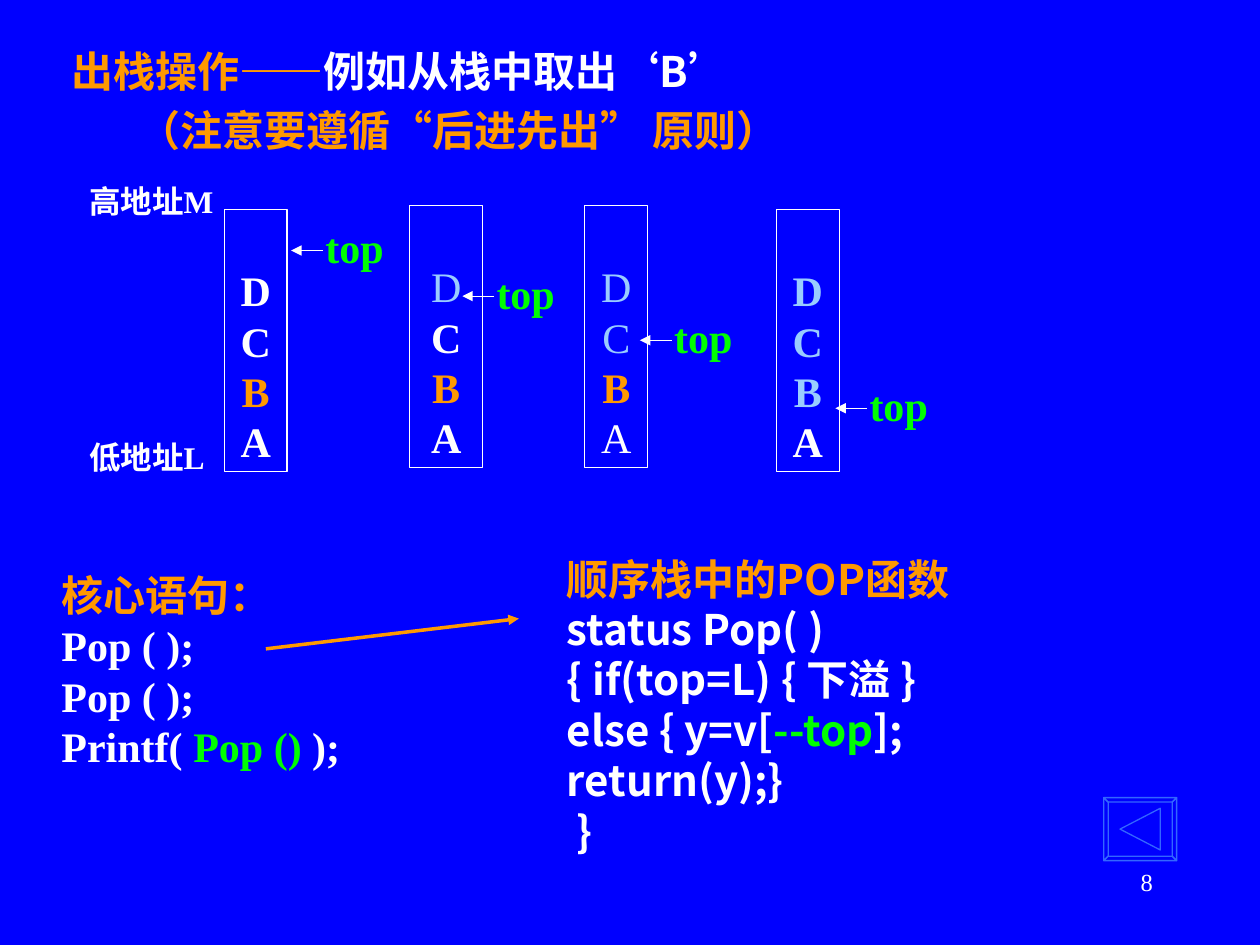
from lxml.etree import SubElement
from pptx import Presentation
from pptx.dml.color import RGBColor
from pptx.enum.shapes import MSO_CONNECTOR, MSO_SHAPE
from pptx.enum.text import MSO_ANCHOR, MSO_AUTO_SIZE, PP_ALIGN
from pptx.oxml.ns import qn
from pptx.util import Cm, Pt

WHITE, ORANGE, GREEN, PALE = "FFFFFF", "FF9900", "00FF00", "99CCFF"
SANS, SERIF = "Noto Sans CJK SC", "Times New Roman"
CODE = {"size": Pt(24), "name": SERIF, "bold": True}
HEADING = {**CODE, "name": SANS}
ADDRESS = {**CODE, "size": Pt(18)}
PAGE = {"size": Pt(14), "name": SERIF, "bold": False}
INSETS = {"margin_left": Cm(0.25), "margin_right": Cm(0.25),
          "margin_top": Cm(0.13), "margin_bottom": Cm(0.13)}


def colour(value):
    """Return the colour of a hex string."""
    return RGBColor.from_string(value)


def apply(target, values):
    """Set every attribute named in a dict of format values."""
    for name, value in values.items():
        setattr(target, name, value)


def write(frame, lines, style, align=PP_ALIGN.LEFT):
    """Fill a text frame with lines, each a list of (text, colour, overrides) runs."""
    for number, runs in enumerate(lines):
        paragraph = frame.add_paragraph() if number else frame.paragraphs[0]
        paragraph.alignment = align
        for words, tint, *overrides in runs:
            run = paragraph.add_run()
            run.text = words
            apply(run.font, {**style, **(overrides[0] if overrides else {})})
            run.font.color.rgb = colour(tint)
            SubElement(run.font._element, qn("a:ea"), typeface=SANS)


def add_text(slide, box, lines, style, wrap=True, align=PP_ALIGN.LEFT):
    """Place a text box in a box of centimetres."""
    frame = slide.shapes.add_textbox(*map(Cm, box)).text_frame
    apply(frame, {**INSETS, "word_wrap": wrap})
    write(frame, lines, style, align)


def add_arrow(slide, start, end, tint, weight):
    """Draw a straight arrow between two points."""
    arrow = slide.shapes.add_connector(MSO_CONNECTOR.STRAIGHT, *map(Cm, start + end))
    apply(arrow.line, {"width": Pt(weight)})
    arrow.line.color.rgb = colour(tint)
    SubElement(arrow.line._get_or_add_ln(), qn("a:tailEnd"), type="triangle")
    SubElement(arrow._element.spPr, qn("a:effectLst"))


def outline(shape, tint):
    """Leave a shape unfilled with a thin line."""
    shape.shadow.inherit = False
    shape.fill.background()
    shape.line.color.rgb = colour(tint)
    shape.line.width = Pt(0.74)


def add_heading(slide, box):
    """Place the two-line title."""
    title = slide.shapes.title
    apply(title, dict(zip(("left", "top", "width", "height"), map(Cm, box))))
    frame = title.text_frame
    apply(frame, {**INSETS, "margin_left": Cm(0.46), "word_wrap": True,
                  "auto_size": MSO_AUTO_SIZE.NONE, "vertical_anchor": MSO_ANCHOR.MIDDLE})
    write(frame, [[("出栈操作——", ORANGE), ("例如从栈中取出‘B’", WHITE)],
                  [("（注意要遵循“后进先出” 原则）", ORANGE)]], HEADING)
    rule = frame.paragraphs[1]
    rule.space_before = Pt(4.8)
    rule._p.get_or_add_pPr().set("marL", str(Cm(1.35)))


def add_stack(slide, box, cells, tip):
    """Draw one stack state with its top pointer at an offset from the box."""
    left, top, _, _ = box
    column = slide.shapes.add_shape(MSO_SHAPE.RECTANGLE, *map(Cm, box))
    outline(column, WHITE)
    apply(column.text_frame, {**INSETS, "margin_top": 0, "margin_bottom": Cm(0.1),
                              "word_wrap": False, "vertical_anchor": MSO_ANCHOR.BOTTOM})
    write(column.text_frame,
          [[(letter, tint, {"bold": bold})] for letter, (tint, bold) in zip("DCBA", cells)],
          CODE, PP_ALIGN.CENTER)
    x, y = left + tip[0], top + tip[1]
    add_arrow(slide, (x + 0.64, y), (x, y), WHITE, 0.74)
    add_text(slide, (x + 0.44, y - 0.71, 1.68, 1.27), [[("top", GREEN)]], CODE, wrap=False)


def add_addresses(slide, box):
    """Label the high and low ends of the first stack."""
    left, top, _, height = box
    for label, drop in (("高地址M", -0.69), ("低地址L", height - 0.79)):
        add_text(slide, (left - 2.97, top + drop, 3.15, 1.02),
                 [[(label, WHITE)]], ADDRESS, wrap=False)


def add_core_statements(slide, box):
    """Place the calls that pop the stack."""
    call = [("Pop ( );", WHITE)]
    add_text(slide, box, [[("核心语句：", ORANGE)], call, call,
                          [("Printf( ", WHITE), ("Pop ()", GREEN), (" );", WHITE)]], CODE)


def add_pop_function(slide, box):
    """Place the listing of the pop function."""
    add_text(slide, box, [
        [("顺序栈中的POP函数", ORANGE)],
        [("status Pop( )", WHITE)],
        [("{ if(top=L) { ", WHITE), ("下溢 ", WHITE, {"name": SERIF}), ("}", WHITE)],
        [("else { y=v[", WHITE), ("--top", GREEN), ("];", WHITE)],
        [("return(y);}", WHITE)],
        [(" }", WHITE)]], HEADING)


def add_back_button(slide, box):
    """Draw the bevelled back button."""
    left, top, width, height = box

    def corners(inset):
        """Return the four corners of the box drawn in by an inset."""
        x1, y1 = left + inset, top + inset
        x2, y2 = left + width - inset, top + height - inset
        return [(x1, y1), (x2, y1), (x2, y2), (x1, y2)]

    outer, inner = corners(0), corners(0.09)
    bevels = [[outer[i], outer[i - 1], inner[i - 1], inner[i]] for i in range(4)]
    middle = top + height / 2
    triangle = [(left + 1.14, middle - 0.42), (left + 0.33, middle),
                (left + 1.14, middle + 0.42)]
    builder = slide.shapes.build_freeform(*map(Cm, outer[0]))
    for contour in [outer, *bevels, triangle]:
        points = [(Cm(x), Cm(y)) for x, y in contour]
        builder.move_to(*points[0])
        builder.add_line_segments(points[1:], close=True)
    outline(builder.convert_to_shape(), "3366FF")


def build_slide():
    """Build and save the slide on popping a stack."""
    deck = Presentation()
    apply(deck, {"slide_width": Cm(25.4), "slide_height": Cm(19.05)})
    slide = deck.slides.add_slide(deck.slide_layouts[5])
    slide.background.fill.solid()
    slide.background.fill.fore_color.rgb = colour("0000FF")
    add_heading(slide, (0.99, 0.74, 21.59, 2.57))

    kept, wanted = (WHITE, True), (ORANGE, True)
    popped, removed, plain = (PALE, False), (PALE, True), (WHITE, False)
    first_stack = (4.52, 4.22, 1.27, 5.28)
    for box, cells, tip in (
            (first_stack, (kept, kept, wanted, kept), (1.35, 0.83)),
            ((8.26, 4.14, 1.47, 5.28), (popped, kept, wanted, kept), (1.06, 1.83)),
            ((11.79, 4.14, 1.27, 5.28), (popped, popped, wanted, plain), (1.11, 2.72)),
            ((15.65, 4.22, 1.27, 5.28), (removed, removed, removed, kept), (1.19, 4.01))):
        add_stack(slide, box, cells, tip)
    add_addresses(slide, first_stack)

    add_core_statements(slide, (0.99, 11.35, 7.21, 5.33))
    add_pop_function(slide, (11.18, 11.02, 9.09, 6.35))
    add_arrow(slide, (5.36, 13.08), (10.46, 12.47), ORANGE, 2)
    add_back_button(slide, (22.25, 16.08, 1.47, 1.27))
    add_text(slide, (18.21, 17.35, 5.28, 1.27), [[("8", WHITE)]], PAGE, align=PP_ALIGN.RIGHT)
    deck.save("out.pptx")


build_slide()
